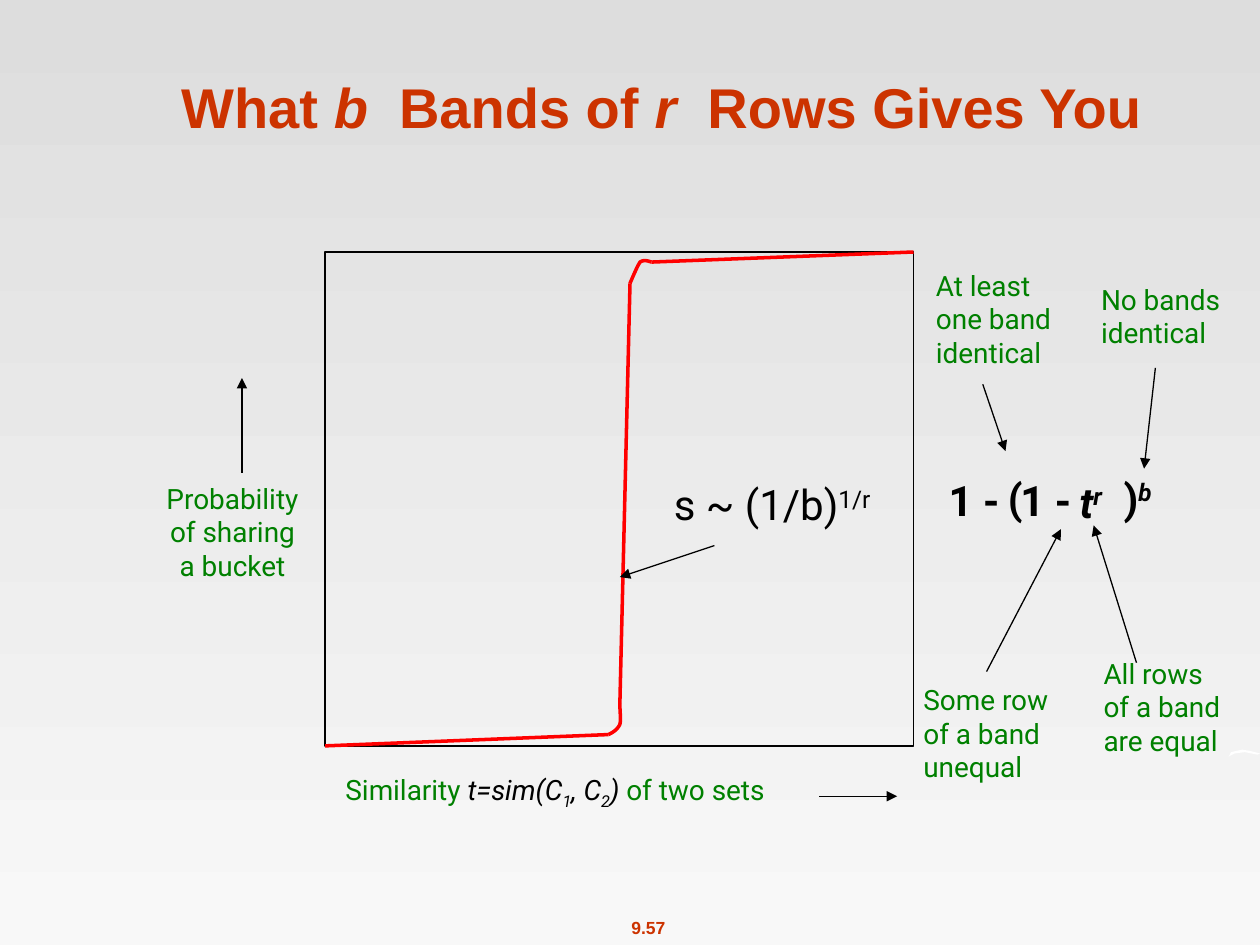
import pptx
import pptx.util
import pptx.dml.color
import pptx.enum.shapes
import pptx.enum.text
import pptx.oxml
import pptx.oxml.ns
from pptx.util import Inches

RGBColor = pptx.dml.color.RGBColor
ALIGN = pptx.enum.text.PP_ALIGN
BLACK = RGBColor(0x00, 0x00, 0x00)
WHITE = RGBColor(0xFF, 0xFF, 0xFF)
RED = RGBColor(0xFF, 0x00, 0x00)
GREEN = RGBColor(0x00, 0x80, 0x00)
RUST = RGBColor(0xCC, 0x33, 0x00)
BACKGROUND = [RGBColor(0xDD, 0xDD, 0xDD), RGBColor(0xF8, 0xF8, 0xF8)]

# A run is (text, formatting that differs from the rest of its text).
ITALIC = {"italic": True}
SUPER = {"baseline": 30}
VARIABLE = {"italic": True, "color": BLACK}
INDEX = {**VARIABLE, "baseline": -25}

TITLE = [("What ", {}), ("b", ITALIC), ("  Bands of ", {}), ("r", ITALIC),
         ("  Rows Gives You", {})]
PAGE_NUMBER = ((4.9, 7.23, 0.49, 0.27), "9.57")

LABELS = [  # box, lines, alignment
    ((8.66, 5.16, 1.25, 1), ["All rows", "of a band", "are equal"], ALIGN.LEFT),
    ((7.23, 5.37, 1.31, 1), ["Some row", "of a band", "unequal"], ALIGN.LEFT),
    ((8.64, 2.19, 1.24, 0.73), ["No bands", "identical"], ALIGN.LEFT),
    ((7.33, 2.08, 1.23, 1), ["At least", "one band", "identical"], ALIGN.LEFT),
    ((1.17, 3.77, 1.35, 1), ["Probability", "of sharing", "a bucket"], ALIGN.CENTER),
]
SIMILARITY = ((2.03, 6.08, 4.75, 0.4), [
    ("Similarity ", {}), ("t=sim(C", VARIABLE), ("1", INDEX), (", C", VARIABLE),
    ("2", INDEX), (") ", VARIABLE), ("of two sets", {})])
FORMULA = [  # the parts of 1 - (1 - t^r)^b, innermost first
    ((8.47, 3.73, 0.51, 0.51), [("t", ITALIC), ("r", {**ITALIC, **SUPER})]),
    ((8, 3.72, 0.66, 0.51), [("1 -", {})]),
    ((7.9, 3.7, 0.35, 0.51), [("(", {})]),
    ((8.82, 3.7, 0.56, 0.51), [(")", {}), ("b", {**ITALIC, **SUPER})]),
    ((7.43, 3.72, 0.66, 0.51), [("1 -", {})]),
]
THRESHOLD = ((5.25, 3.75, 1.93, 0.51), [("s ~ (1/b)", {}), ("1/r", SUPER)])

PLOT_AREA = (2.58, 2, 4.67, 3.92)
CURVE_LINES = [((2.58, 5.92), (4.83, 5.83)), ((4.92, 5.58), (5, 2.25)),
               ((5.17, 2.08), (7.25, 2))]
CURVE_BENDS = [  # start, then control, control, end of each Bezier piece
    [(4.83, 5.83), (4.87, 5.81), (4.9, 5.79), (4.92, 5.75),
     (4.93, 5.71), (4.92, 5.65), (4.92, 5.58)],
    [(5, 2.25), (5.03, 2.18), (5.06, 2.11), (5.08, 2.08),
     (5.11, 2.06), (5.14, 2.07), (5.17, 2.08)],
]
ARROWS = [
    ((9.02, 5.26), (8.68, 4.17)),  # all rows
    ((7.83, 5.33), (8.42, 4.2)),   # some row
    ((9.17, 2.92), (9.08, 3.72)),  # no bands
    ((7.8, 3.05), (7.98, 3.58)),   # at least one band
    ((5.67, 4.33), (4.92, 4.58)),  # threshold
    ((6.5, 6.32), (7.12, 6.32)),   # similarity axis
    ((1.92, 3.75), (1.92, 3)),     # probability axis
]
SWOOSH = [(9.75, 6.01), (9.77, 5.97), (9.81, 5.96), (9.86, 5.95), (9.92, 5.96),
          (10, 5.98), (9.98, 5.99), (9.88, 5.97), (9.8, 5.98), (9.76, 6.0)]


def format_run(run, size, color, bold=False, italic=False, baseline=0, font="Roboto"):
    run.font.name = font
    run.font.size = pptx.util.Pt(size)
    run.font.bold = bold
    run.font.italic = italic
    run.font.color.rgb = color
    if baseline:
        run.font._element.set("baseline", str(baseline * 1000))


def write_runs(paragraph, runs, **common):
    for text, changes in runs:
        run = paragraph.add_run()
        run.text = text
        format_run(run, **{**common, **changes})


def add_text(slide, box, lines, align=ALIGN.LEFT, wrap=False, **common):
    """Add a text box; each line is a list of runs."""
    frame = slide.shapes.add_textbox(*map(Inches, box)).text_frame
    frame.word_wrap = wrap
    frame.auto_size = pptx.enum.text.MSO_AUTO_SIZE.SHAPE_TO_FIT_TEXT
    for number, runs in enumerate(lines):
        paragraph = frame.add_paragraph() if number else frame.paragraphs[0]
        paragraph.alignment = align
        write_runs(paragraph, runs, **common)


def add_line(slide, start, end, color, width, arrow=False):
    connector = slide.shapes.add_connector(
        pptx.enum.shapes.MSO_CONNECTOR.STRAIGHT, *map(Inches, start + end))
    connector.line.color.rgb = color
    connector.line.width = pptx.util.Pt(width)
    if arrow:
        line = connector.line._get_or_add_ln()
        head = pptx.oxml.parse_xml(
            f'<a:tailEnd {pptx.oxml.ns.nsdecls("a")} type="triangle"/>')
        line.append(head)
    connector._element.spPr.append(pptx.oxml.parse_xml(
        f'<a:effectLst {pptx.oxml.ns.nsdecls("a")}/>'))


def add_outline(slide, points, close):
    corners = [(Inches(x), Inches(y)) for x, y in points]
    builder = slide.shapes.build_freeform(*corners[0])
    builder.add_line_segments(corners[1:], close=close)
    outline = builder.convert_to_shape()
    outline.shadow.inherit = False
    return outline


def bezier_points(controls, steps=8):
    """Sample the cubic pieces that share their end points."""
    points = [controls[0]]
    for first in range(0, len(controls) - 1, 3):
        piece = controls[first:first + 4]
        for step in range(1, steps + 1):
            t = step / steps
            weights = ((1 - t) ** 3, 3 * t * (1 - t) ** 2, 3 * t * t * (1 - t), t ** 3)
            points.append(tuple(sum(w * p[axis] for w, p in zip(weights, piece))
                                for axis in (0, 1)))
    return points


def main():
    deck = pptx.Presentation()
    deck.slide_width, deck.slide_height = Inches(10), Inches(7.5)
    slide = deck.slides.add_slide(deck.slide_layouts[5])

    backdrop = slide.background.fill
    backdrop.gradient()
    backdrop.gradient_angle = 270
    for stop, color in zip(backdrop.gradient_stops, BACKGROUND):
        stop.color.rgb = color

    title = slide.shapes.title
    title.left, title.top, title.width, title.height = map(Inches, (0.5, 0.08, 9.5, 1.08))
    title.text_frame.vertical_anchor = pptx.enum.text.MSO_ANCHOR.BOTTOM
    heading = title.text_frame.paragraphs[0]
    heading.alignment = ALIGN.CENTER
    write_runs(heading, TITLE, size=32, color=RUST, bold=True, font="Arial")

    box, number = PAGE_NUMBER
    add_text(slide, box, [[(number, {})]], ALIGN.CENTER,
             size=10, color=RUST, bold=True, font="Arial")
    swoosh = add_outline(slide, SWOOSH, close=True)
    swoosh.fill.solid()
    swoosh.fill.fore_color.rgb = WHITE
    swoosh.line.fill.background()

    plot = slide.shapes.add_shape(
        pptx.enum.shapes.MSO_SHAPE.RECTANGLE, *map(Inches, PLOT_AREA))
    plot.shadow.inherit = False
    plot.fill.background()
    plot.line.color.rgb = BLACK
    plot.line.width = pptx.util.Pt(0.75)

    for start, end in CURVE_LINES:
        add_line(slide, start, end, RED, 2)
    for controls in CURVE_BENDS:
        bend = add_outline(slide, bezier_points(controls), close=False)
        bend.fill.background()
        bend.line.color.rgb = RED
        bend.line.width = pptx.util.Pt(2)

    for box, lines, align in LABELS:
        add_text(slide, box, [[(line, {})] for line in lines], align, size=16, color=GREEN)
    box, runs = SIMILARITY
    add_text(slide, box, [runs], ALIGN.CENTER, wrap=True, size=16, color=GREEN)
    for box, runs in FORMULA:
        add_text(slide, box, [runs], size=24, color=BLACK, bold=True)
    box, runs = THRESHOLD
    add_text(slide, box, [runs], size=24, color=BLACK)
    for start, end in ARROWS:
        add_line(slide, start, end, BLACK, 0.75, arrow=True)

    deck.save("out.pptx")


if __name__ == "__main__":
    main()
